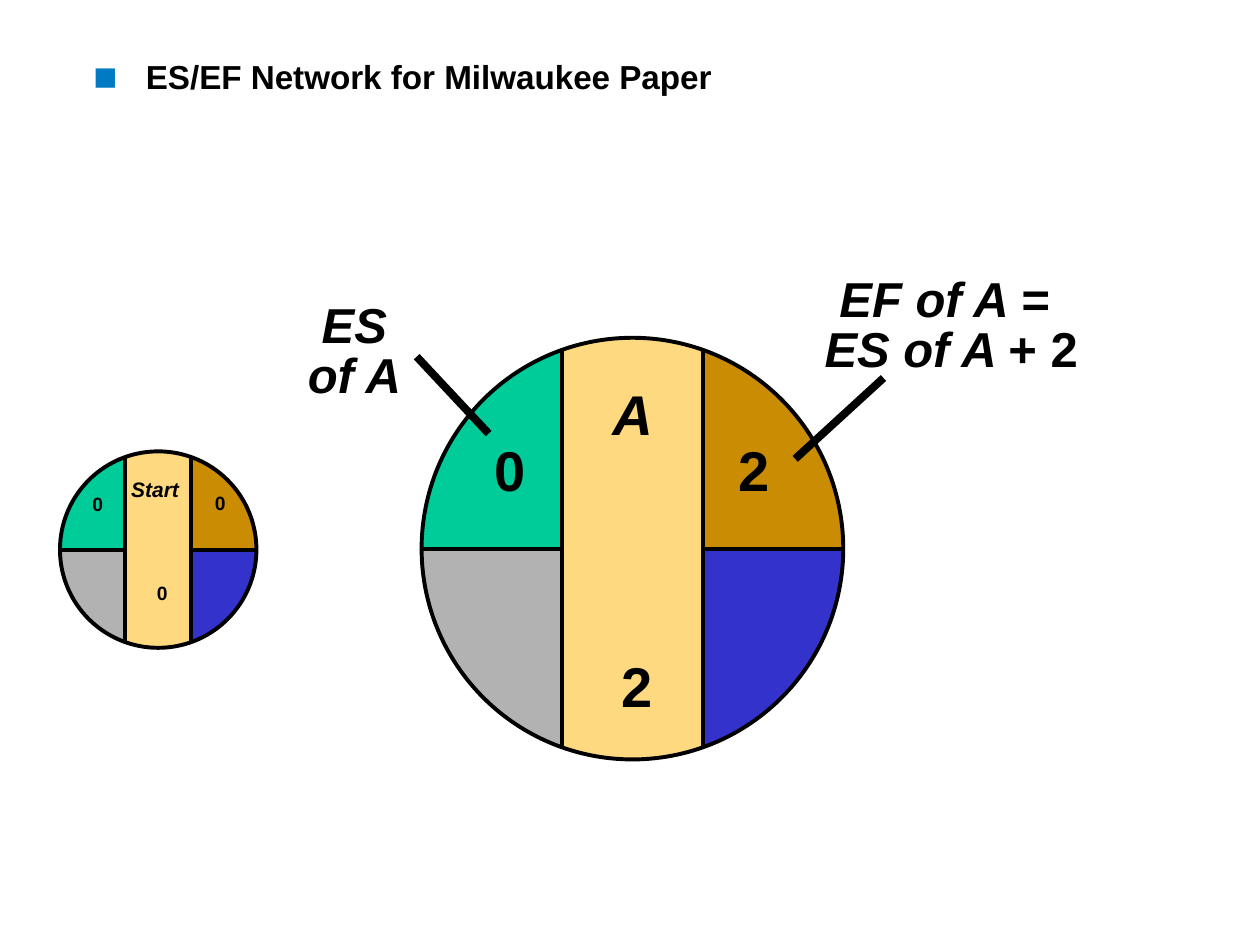
from itertools import product
from math import acos, cos, sin

from lxml.etree import SubElement
from pptx import Presentation
from pptx.dml.color import RGBColor
from pptx.enum.shapes import MSO_CONNECTOR as Connector, MSO_SHAPE as Shape
from pptx.enum.text import MSO_ANCHOR as Anchor, MSO_AUTO_SIZE as AutoSize, PP_ALIGN as Align
from pptx.oxml.ns import qn
from pptx.util import Cm, Pt

BLACK = RGBColor(0x00, 0x00, 0x00)
SAND = RGBColor(0xFF, 0xD9, 0x80)
GREEN = RGBColor(0x00, 0xCC, 0x99)
OCHRE = RGBColor(0xCA, 0x8C, 0x02)
BLUE = RGBColor(0x33, 0x33, 0xCC)
GRAY = RGBColor(0xB2, 0xB2, 0xB2)
BULLET_BLUE = RGBColor(0x00, 0x7A, 0xC2)

SECTOR_COLORS = {(-1, -1): GREEN, (1, -1): OCHRE, (1, 1): BLUE, (-1, 1): GRAY}
ARC_STEPS = 8


class NetworkSlide:
    font_name = "Arial"
    outline = 2.25

    def __init__(self, presentation):
        self.slide = presentation.slides.add_slide(presentation.slide_layouts[5])

    def group(self):
        return self.slide.shapes.add_group_shape().shapes

    def add_run(self, paragraph, text, size, italic=False):
        run = paragraph.add_run()
        run.text = text
        font = run.font
        font.name, font.size = self.font_name, Pt(size)
        font.bold, font.italic = True, italic
        font.color.rgb = BLACK

    def title(self, text, left, top, width, height):
        shape = self.slide.shapes.title
        shape.left, shape.top = Cm(left), Cm(top)
        shape.width, shape.height = Cm(width), Cm(height)
        frame = shape.text_frame
        frame.margin_left = frame.margin_right = 0
        frame.margin_top = frame.margin_bottom = 0
        frame.vertical_anchor = Anchor.TOP
        frame.word_wrap = True
        paragraph = frame.paragraphs[0]
        paragraph.alignment = Align.LEFT
        properties = paragraph._p.get_or_add_pPr()
        properties.set("marL", str(Cm(1.06)))
        properties.set("indent", str(Cm(-1.06)))
        color = SubElement(properties, qn("a:buClr"))
        SubElement(color, qn("a:srgbClr"), val=str(BULLET_BLUE))
        SubElement(properties, qn("a:buSzPct"), val="120000")
        SubElement(properties, qn("a:buFont"), typeface=self.font_name)
        SubElement(properties, qn("a:buChar"), char="■")
        self.add_run(paragraph, text, 19)

    def text_frame(self, shapes, left, top, width, height, wrap=False):
        box = shapes.add_textbox(Cm(left), Cm(top), Cm(width), Cm(height))
        box.text_frame.word_wrap = wrap
        box.text_frame.auto_size = AutoSize.SHAPE_TO_FIT_TEXT
        return box.text_frame

    def label(self, shapes, texts, size, left, top, width, height, gap=0):
        frame = self.text_frame(shapes, left, top, width, height)
        for number, (text, italic) in enumerate(texts):
            paragraph = frame.add_paragraph() if number else frame.paragraphs[0]
            paragraph.alignment = Align.RIGHT
            if number:
                paragraph.space_before = Pt(gap)
            self.add_run(paragraph, text, size, italic)

    def callout(self, shapes, lines, left, top, width, height, wrap=False):
        frame = self.text_frame(shapes, left, top, width, height, wrap)
        paragraph = frame.paragraphs[0]
        paragraph.alignment = Align.CENTER
        paragraph.line_spacing = 0.85
        for number, line in enumerate(lines):
            if number:
                paragraph.add_line_break()
            for text, italic in line:
                self.add_run(paragraph, text, 28, italic)

    def line(self, shapes, start, end, weight):
        connector = shapes.add_connector(
            Connector.STRAIGHT, *(Cm(value) for value in (*start, *end)))
        connector.line.color.rgb = BLACK
        connector.line.width = Pt(weight)
        SubElement(connector._element.spPr, qn("a:effectLst"))

    def circle(self, shapes, x, y, radius, fill=None):
        shape = shapes.add_shape(Shape.OVAL, Cm(x - radius), Cm(y - radius),
                                 Cm(2 * radius), Cm(2 * radius))
        shape.shadow.inherit = False
        if fill is None:
            shape.fill.background()
            shape.line.color.rgb = BLACK
            shape.line.width = Pt(self.outline)
        else:
            shape.fill.solid()
            shape.fill.fore_color.rgb = fill
            shape.line.fill.background()

    def sector(self, shapes, x, y, radius, side, half):
        angles = [acos(1 / 3) * step / ARC_STEPS for step in range(ARC_STEPS + 1)]
        arc = [(Cm(x + side * radius * cos(angle)), Cm(y + half * radius * sin(angle)))
               for angle in angles]
        builder = shapes.build_freeform(Cm(x + side * radius / 3), Cm(y))
        builder.add_line_segments(arc, close=True)
        shape = builder.convert_to_shape()
        shape.shadow.inherit = False
        shape.fill.solid()
        shape.fill.fore_color.rgb = SECTOR_COLORS[side, half]
        shape.line.fill.background()

    def node(self, x, y, radius):
        shapes = self.group()
        self.circle(shapes, x, y, radius, SAND)
        for side, half in product((-1, 1), repeat=2):
            self.sector(shapes, x, y, radius, side, half)
        self.circle(shapes, x, y, radius)
        chord = radius * sin(acos(1 / 3))
        for side in (-1, 1):
            edge = x + side * radius / 3
            self.line(shapes, (x + side * radius, y), (edge, y), self.outline)
            self.line(shapes, (edge, y - chord), (edge, y + chord), self.outline)
        return shapes


def main():
    presentation = Presentation()
    presentation.slide_width, presentation.slide_height = Cm(25.4), Cm(19.05)
    network = NetworkSlide(presentation)
    network.title("ES/EF Network for Milwaukee Paper", 1.88, 1.14, 21.59, 3.71)

    start = network.node(3.19, 11.08, 1.98)
    network.label(start, [("Start", True)], 12, 2.39, 9.48, 1.47, 0.76)
    for left, top in ((1.47, 9.8), (2.77, 11.6), (3.94, 9.78)):
        network.label(start, [("0", False)], 11, left, top, 0.86, 1.02)

    activity = network.node(12.75, 11.06, 4.25)
    network.label(activity, [("A", True), ("2", False)], 32, 12.09, 7.52, 1.32, 7.04, 117)

    finish = network.group()
    network.label(finish, [("2", False)], 32, 14.63, 8.66, 1.14, 1.6)
    network.callout(finish, [[("EF of A = ", True)], [("ES of A ", True), ("+ 2", False)]],
                    16.33, 5.47, 5.69, 2.29)
    network.line(finish, (17.81, 7.62), (16.03, 9.25), 4.5)

    begin = network.group()
    network.label(begin, [("0", False)], 32, 9.7, 8.66, 1.14, 1.6)
    network.callout(begin, [[("ES", True)], [("of A", True)]], 5.67, 5.99, 2.95, 2.29, True)
    network.line(begin, (8.4, 7.19), (9.85, 8.74), 4.5)

    presentation.save("out.pptx")


if __name__ == "__main__":
    main()
